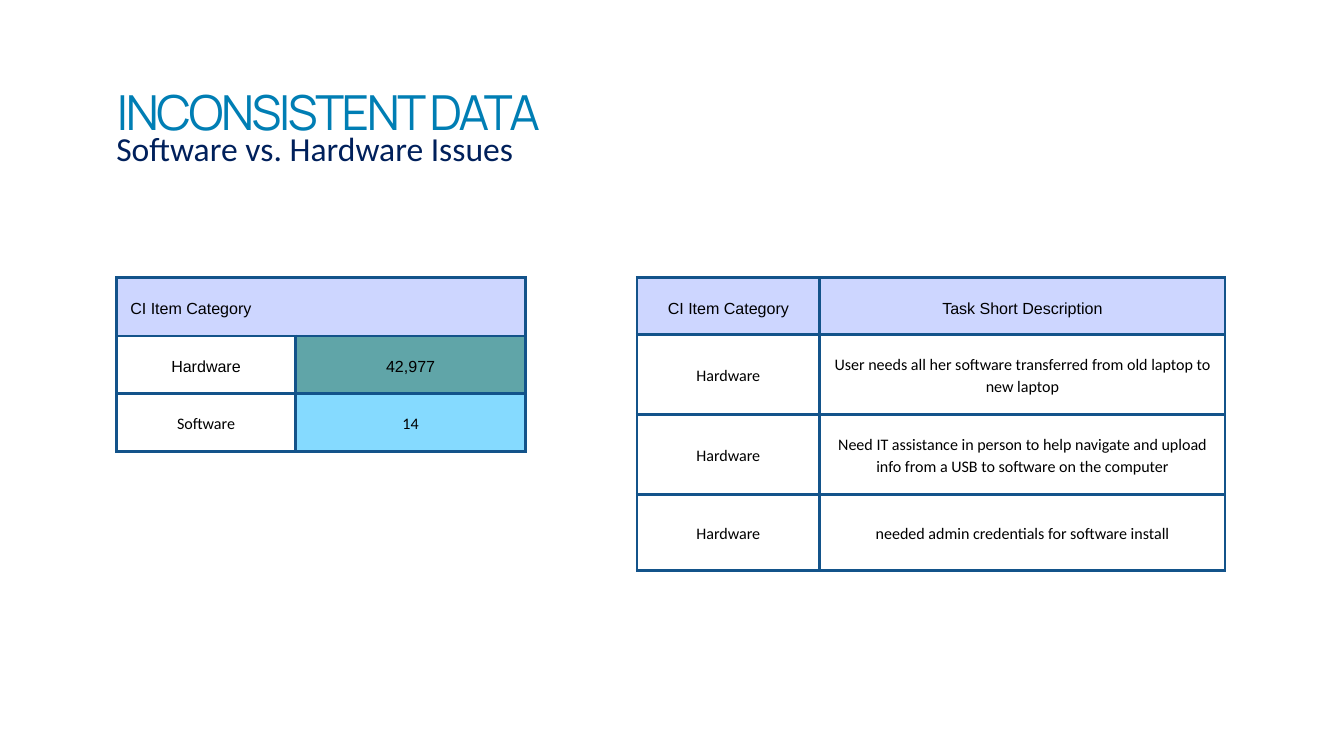
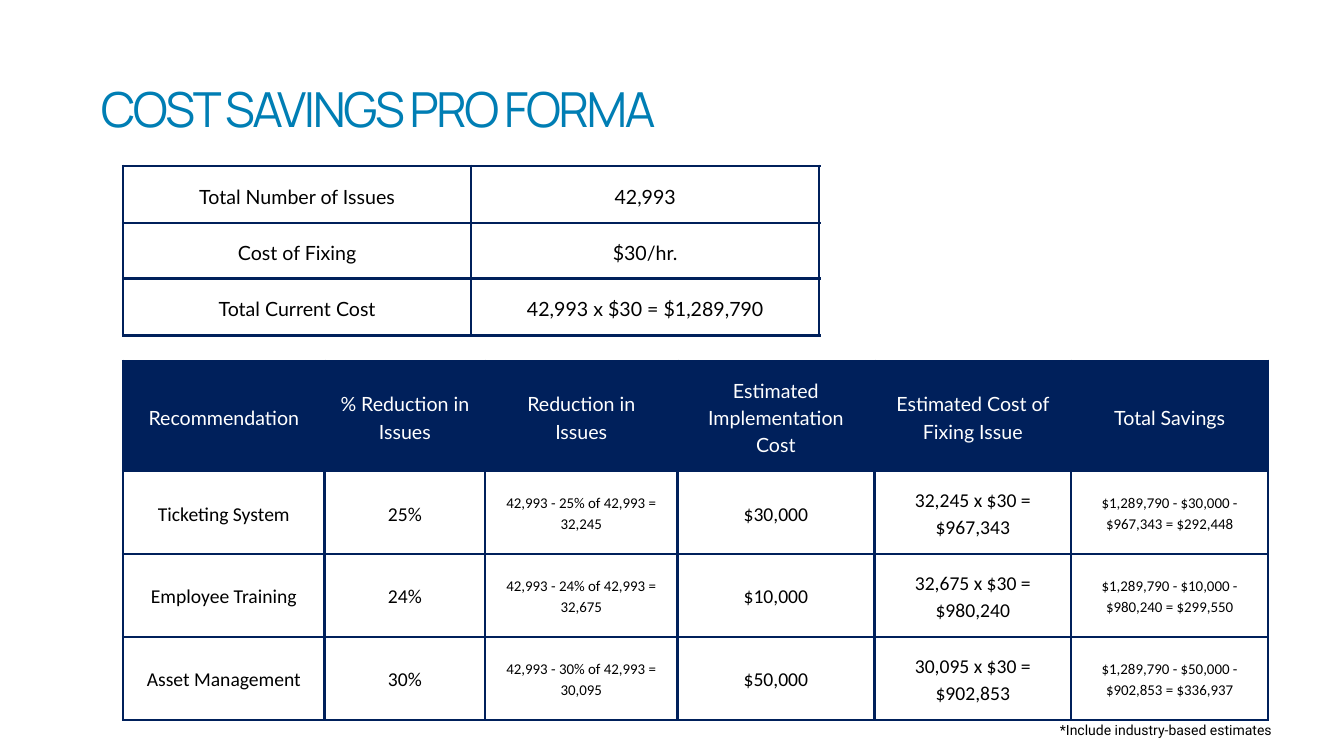
"""Build two slides on inconsistent ticket data and the cost savings pro forma."""
from lxml import etree
from pptx import Presentation
from pptx.dml.color import RGBColor
from pptx.enum.text import MSO_ANCHOR as Anchor, MSO_AUTO_SIZE as AutoSize, PP_ALIGN as Align
from pptx.oxml.ns import qn
from pptx.util import Pt

COLORS = {
    "navy": "00205B", "title": "007EB4", "line": "13538A", "black": "000000", "white": "FFFFFF",
    "lilac": "CDD6FF", "teal": "60A5A8", "sky": "85DAFF",
}
PAD = 15
BORDER = 3
LEADING = 1.4

TEXT = {"font": "Calibri", "size": 17.2, "color": "black", "fill": None, "align": Align.CENTER}
PLAIN = {**TEXT, "font": "Arial"}
HEAD = {**PLAIN, "fill": "lilac"}
LARGE = {**TEXT, "size": 21}
SMALL = {**TEXT, "size": 16}
SUMMARY = {**LARGE, "font": "Lato"}
COST_HEAD = {**SUMMARY, "color": "white", "fill": "navy"}
COST_ROW = [LARGE, LARGE, SMALL, LARGE, LARGE, SMALL]

SLIDES = [
    {
        "title": ("INCONSISTENT DATA", (125.3, 71.3, 790, 76)),
        "notes": [("Software vs. Hardware Issues", (124.6, 130.3, 558, 46),
                   {**TEXT, "size": 36, "color": "navy", "align": Align.LEFT})],
        "tables": [
            {
                "at": (124.6, 297.4), "line": "line",
                "cols": [192.2, 246.2], "rows": [62.4, 62, 62],
                "cells": [["CI Item Category", None], ["Hardware", "42,977"], ["Software", "14"]],
                "styles": [[{**HEAD, "align": Align.LEFT}] * 2,
                           [PLAIN, {**PLAIN, "fill": "teal"}],
                           [TEXT, {**TEXT, "fill": "sky"}]],
            },
            {
                "at": (682.6, 297.4), "line": "line",
                "cols": [195.5, 434.6], "rows": [61.2, 85.7, 85.7, 81.4],
                "cells": [
                    ["CI Item Category", "Task Short Description"],
                    ["Hardware", "User needs all her software transferred from old laptop to new laptop"],
                    ["Hardware", "Need IT assistance in person to help navigate and upload info "
                                 "from a USB to software on the computer"],
                    ["Hardware", "needed admin credentials for software install"],
                ],
                "styles": [[HEAD] * 2] + [[TEXT] * 2] * 3,
            },
        ],
    },
    {
        "title": ("COST SAVINGS PRO FORMA", (108, 68.4, 756, 75)),
        "notes": [("*Include industry-based estimates", (1121.8, 769.7, 254.9, 20.2),
                   {**TEXT, "font": "Roboto", "size": 15})],
        "tables": [
            {
                "at": (131.8, 386.6), "line": "navy",
                "cols": [216, 172, 206, 211, 211, 211], "rows": [108] + [82] * 3,
                "cells": [
                    ["Recommendation", "% Reduction in Issues", "Reduction in Issues",
                     "Estimated Implementation Cost", "Estimated Cost of Fixing Issue",
                     "Total Savings"],
                    ["Ticketing System", "25%", "42,993 - 25% of 42,993 = 32,245", "$30,000",
                     "32,245 x $30 = $967,343", "$1,289,790 - $30,000 - $967,343 = $292,448"],
                    ["Employee Training", "24%", "42,993 - 24% of 42,993 = 32,675", "$10,000",
                     "32,675 x $30 = $980,240", "$1,289,790 - $10,000 - $980,240 = $299,550"],
                    ["Asset Management", "30%", "42,993 - 30% of 42,993 = 30,095", "$50,000",
                     "30,095 x $30 = $902,853", "$1,289,790 - $50,000 - $902,853 = $336,937"],
                ],
                "styles": [[COST_HEAD] * 6] + [COST_ROW] * 3,
            },
            {
                "at": (131.8, 177.8), "line": "navy",
                "cols": [373] * 2, "rows": [61.2, 49.7, 61.2],
                "cells": [
                    ["Total Number of Issues", "42,993"],
                    ["Cost of Fixing", "$30/hr."],
                    ["Total Current Cost", "42,993 x $30 = $1,289,790"],
                ],
                "styles": [[SUMMARY] * 2] * 3,
            },
        ],
    },
]


def write(tf, text, style, leading=LEADING):
    tf.word_wrap = True
    p = tf.paragraphs[0]
    p.text = text
    p.alignment = style["align"]
    p.line_spacing = Pt(round(style["size"] * leading, 1))
    p.font.name = style["font"]
    p.font.size = Pt(style["size"])
    p.font.color.rgb = RGBColor.from_string(COLORS[style["color"]])


def clear_frame(tf):
    tf.margin_left = tf.margin_right = tf.margin_top = tf.margin_bottom = 0
    tf.vertical_anchor = Anchor.TOP
    tf.auto_size = AutoSize.NONE


def add_title(s, text, box):
    sp = s.shapes.title
    sp.left, sp.top, sp.width, sp.height = map(Pt, box)
    clear_frame(sp.text_frame)
    style = {**TEXT, "font": "Manrope", "size": 51.7, "color": "title", "align": Align.LEFT}
    write(sp.text_frame, text, style, 78.4 / 51.7)
    sp.text_frame.paragraphs[0].runs[0].font._element.set("spc", "-258")


def add_note(s, text, box, style):
    tf = s.shapes.add_textbox(*map(Pt, box)).text_frame
    clear_frame(tf)
    write(tf, text, style)


def set_borders(cell, color):
    tcPr = cell._tc.get_or_add_tcPr()
    for i, side in enumerate("LRTB"):
        ln = etree.Element(qn(f"a:ln{side}"), w=str(Pt(BORDER)))
        fill = etree.SubElement(ln, qn("a:solidFill"))
        etree.SubElement(fill, qn("a:srgbClr"), val=COLORS[color])
        tcPr.insert(i, ln)


def style_cell(cell, text, style, line):
    cell.margin_left = cell.margin_right = cell.margin_top = cell.margin_bottom = Pt(PAD)
    cell.vertical_anchor = Anchor.MIDDLE
    if style["fill"]:
        cell.fill.solid()
        cell.fill.fore_color.rgb = RGBColor.from_string(COLORS[style["fill"]])
    else:
        cell.fill.background()
    set_borders(cell, line)
    if text:
        write(cell.text_frame, text, style)


def add_grid(s, at, line, cols, rows, cells, styles):
    size = sum(cols), sum(rows)
    table = s.shapes.add_table(len(rows), len(cols), *map(Pt, at + size)).table
    table.first_row = table.horz_banding = False
    for col, width in zip(table.columns, cols):
        col.width = Pt(width)
    for r, height in enumerate(rows):
        table.rows[r].height = Pt(height)
        for c, text in enumerate(cells[r]):
            style_cell(table.cell(r, c), text, styles[r][c], line)
            if text is None:
                table.cell(r, c - 1).merge(table.cell(r, c))


def main():
    prs = Presentation()
    prs.slide_width, prs.slide_height = Pt(1440), Pt(810)
    for content in SLIDES:
        s = prs.slides.add_slide(prs.slide_layouts[5])
        add_title(s, *content["title"])
        for grid in content["tables"]:
            add_grid(s, **grid)
        for note in content["notes"]:
            add_note(s, *note)
    prs.save("out.pptx")


if __name__ == "__main__":
    main()
